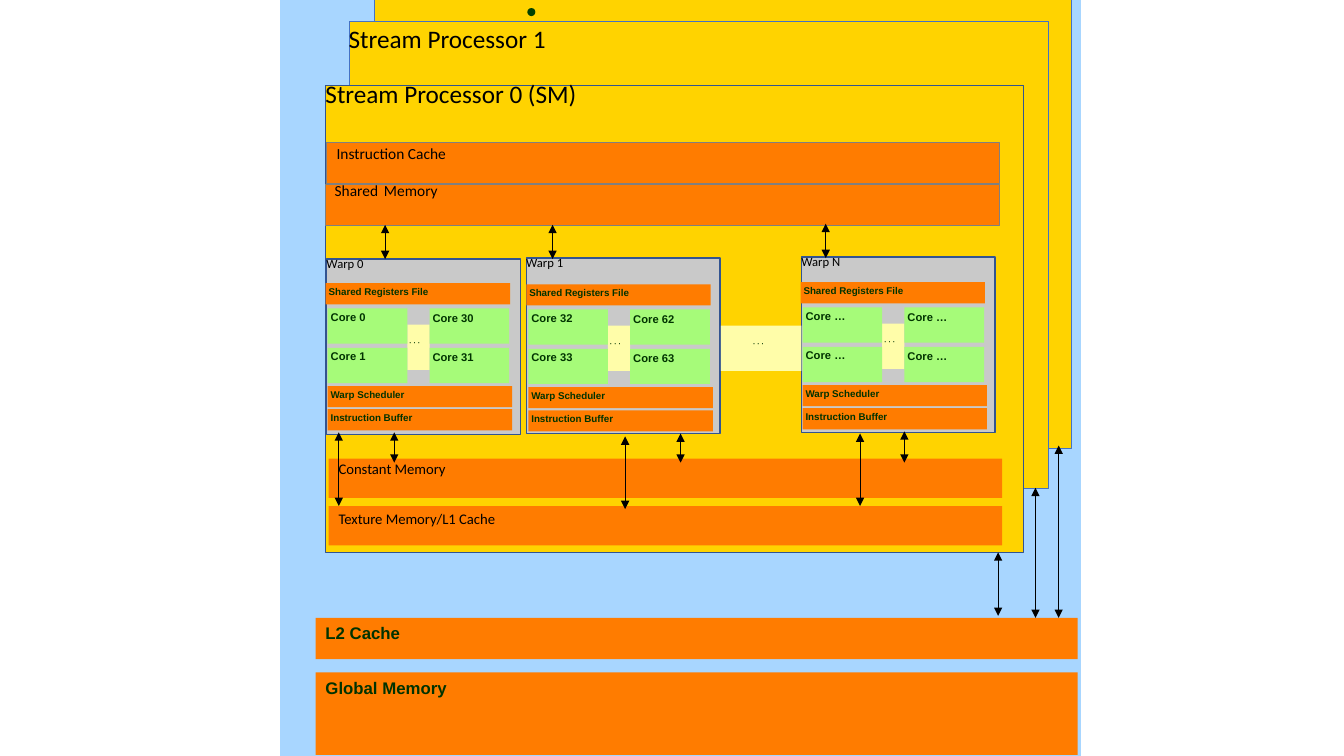
from dataclasses import dataclass
from lxml.etree import SubElement
from pptx import Presentation
from pptx.dml.color import RGBColor
from pptx.enum.shapes import MSO_CONNECTOR, MSO_SHAPE
from pptx.enum.text import MSO_ANCHOR, PP_ALIGN
from pptx.oxml.ns import qn
from pptx.util import Inches, Pt


@dataclass(frozen=True)
class Theme:
    device: str = "A8D6FF"
    processor: str = "FFD300"
    memory: str = "FF7C00"
    warp: str = "C9C9C9"
    core: str = "A6FB79"
    bridge: str = "FFFDA9"
    dot: str = "004100"
    processor_line: str = "4472C4"
    strong_line: str = "325491"
    memory_line: str = "808080"
    text: str = "003300"
    black: str = "000000"
    label_font: str = "Calibri"
    block_font: str = "Arial"
    title: float = 18
    global_block: float = 12
    cache: float = 11
    shared: float = 10.5
    warp_name: float = 9
    core_name: float = 8
    unit: float = 7
    dots: float = 5


@dataclass(frozen=True)
class Warp:
    name: str
    frame: tuple
    content: tuple
    cores: tuple


THEME = Theme()
DOTS = "· · ·"
WARPS = (
    Warp("Warp 0", (3.24, 2.57), (3.24, 2.57), ("Core 0", "Core 30", "Core 1", "Core 31")),
    Warp("Warp 1", (5.22, 2.56), (5.23, 2.58), ("Core 32", "Core 62", "Core 33", "Core 63")),
    Warp("Warp N", (7.95, 2.55), (7.95, 2.56), ("Core …",) * 4),
)
UNITS = (
    ("Shared Registers File", -0.01, 0.24),
    ("Warp Scheduler", 0.01, 1.26),
    ("Instruction Buffer", 0.01, 1.49),
)
ARROWS = (
    (3.82, 2.23, 2.57), (5.48, 2.23, 2.57), (8.19, 2.22, 2.56),
    (3.36, 4.29, 5.02), (6.2, 4.33, 5.05), (8.53, 4.3, 5.02),
    (3.91, 4.29, 4.59), (6.75, 4.3, 4.59), (8.97, 4.28, 4.59),
    (9.9, 5.48, 6.11), (10.27, 4.84, 6.13), (10.5, 4.42, 6.13),
)


def apply_format(target, values):
    for name, value in values.items():
        setattr(target, name, value)


def write_text(shape, runs, font, color, bold=False, inset=(0.1, 0.05), spacing=None):
    frame = shape.text_frame
    apply_format(frame, {
        "word_wrap": True,
        "vertical_anchor": MSO_ANCHOR.TOP,
        "margin_left": Inches(inset[0]),
        "margin_top": Inches(inset[1]),
        "margin_right": 0,
        "margin_bottom": 0,
    })
    paragraph = frame.paragraphs[0]
    apply_format(paragraph, {"alignment": PP_ALIGN.LEFT, "line_spacing": spacing})
    for text, size in runs:
        run = paragraph.add_run()
        run.text = text
        apply_format(run.font, {"name": font, "size": Pt(size), "bold": bold})
        run.font.color.rgb = RGBColor.from_string(color)


def add_block(slide, box, fill, line=None, line_width=0.75, kind=MSO_SHAPE.RECTANGLE):
    shape = slide.shapes.add_shape(kind, *map(Inches, box))
    shape.shadow.inherit = False
    shape.fill.solid()
    shape.fill.fore_color.rgb = RGBColor.from_string(fill)
    if line:
        shape.line.color.rgb = RGBColor.from_string(line)
        shape.line.width = Pt(line_width)
    else:
        shape.line.fill.background()
    return shape


def add_text_block(slide, box, fill, text, size, inset, spacing=None):
    shape = add_block(slide, box, fill)
    write_text(shape, [(text, size)], THEME.block_font, THEME.text, True, inset, spacing)


def add_label(slide, box, *runs):
    shape = slide.shapes.add_textbox(*map(Inches, box))
    write_text(shape, runs, THEME.label_font, THEME.black)


def add_double_arrow(slide, x, top, bottom):
    connector = slide.shapes.add_connector(
        MSO_CONNECTOR.STRAIGHT, Inches(x), Inches(top), Inches(x), Inches(bottom))
    connector.line.color.rgb = RGBColor.from_string(THEME.black)
    connector.line.width = Pt(0.5)
    line = connector.line._get_or_add_ln()
    for end in ("a:headEnd", "a:tailEnd"):
        SubElement(line, qn(end), type="triangle")
    SubElement(connector._element.spPr, qn("a:effectLst"))


def add_bridge(slide, x, y, width, text_left):
    add_text_block(slide, (x, y, width, 0.45), THEME.bridge, DOTS, THEME.dots, (text_left, 0.14))


def add_warp(slide, warp):
    left, top = warp.frame
    add_block(slide, (left, top, 1.92, 1.74), THEME.warp, THEME.strong_line, 1)
    add_label(slide, (left - 0.1, top - 0.08, 1, 0.42), (warp.name, THEME.warp_name))
    x, y = warp.content
    add_bridge(slide, x + 0.8, y + 0.65, 0.22, 0.02)
    for index, core in enumerate(warp.cores):
        row, column = divmod(index, 2)
        box = (x + 0.01 + 1.01 * column, y + 0.49 + 0.39 * row, 0.79, 0.35)
        add_text_block(slide, box, THEME.core, core, THEME.core_name, (0.03, 0.02 + 0.01 * column))
    for name, shift, offset in UNITS:
        box = (x + shift, y + offset, 1.83, 0.21)
        add_text_block(slide, box, THEME.memory, name, THEME.unit, (0.03, 0), Pt(10.2))


def add_processors(slide):
    add_block(slide, (3.71, -0.82, 6.92, 5.27), THEME.processor, THEME.processor_line)
    add_block(slide, (5.23, 0.08, 0.08, 0.08), THEME.dot, kind=MSO_SHAPE.OVAL)
    add_block(slide, (3.47, 0.21, 6.93, 4.64), THEME.processor, THEME.processor_line)
    add_label(slide, (3.36, 0.18, 3.79, 0.67), ("Stream Processor 1", THEME.title))
    add_block(slide, (3.23, 0.85, 6.92, 4.63), THEME.processor, THEME.strong_line, 1)
    add_label(slide, (3.13, 0.73, 4.84, 0.67), ("Stream Processor 0 (SM)", THEME.title))


def add_processor_memories(slide):
    add_block(slide, (3.24, 1.41, 6.67, 0.41), THEME.memory, THEME.memory_line)
    add_label(slide, (3.24, 1.38, 2.25, 0.48), ("Instruction Cache", THEME.cache))
    add_block(slide, (3.23, 1.83, 6.68, 0.41), THEME.memory, THEME.memory_line)
    add_label(slide, (3.22, 1.65, 2.21, 0.67),
              ("Shared", THEME.cache), (" ", THEME.title), ("Memory", THEME.cache))
    for name, top, label_top in (("Constant Memory", 4.55, 4.51),
                                 ("Texture Memory/L1 Cache", 5.02, 5.01)):
        add_block(slide, (3.26, top, 6.68, 0.39), THEME.memory)
        add_label(slide, (3.26, label_top, 3.13, 0.46), (name, THEME.shared))


def main():
    presentation = Presentation()
    apply_format(presentation, {"slide_width": Inches(13.33), "slide_height": Inches(7.5)})
    slide = presentation.slides.add_slide(presentation.slide_layouts[6])
    add_block(slide, (2.78, -1.53, 7.94, 9.11), THEME.device)
    add_processors(slide)
    add_processor_memories(slide)
    for warp in WARPS:
        add_warp(slide, warp)
    add_bridge(slide, 7.15, 3.23, 0.8, 0.32)
    for name, top, height in (("L2 Cache", 6.13, 0.41), ("Global Memory", 6.67, 0.82)):
        add_text_block(slide, (3.13, top, 7.56, height), THEME.memory, name,
                       THEME.global_block, (0.1, 0.05))
    for arrow in ARROWS:
        add_double_arrow(slide, *arrow)
    presentation.save("out.pptx")


if __name__ == "__main__":
    main()
